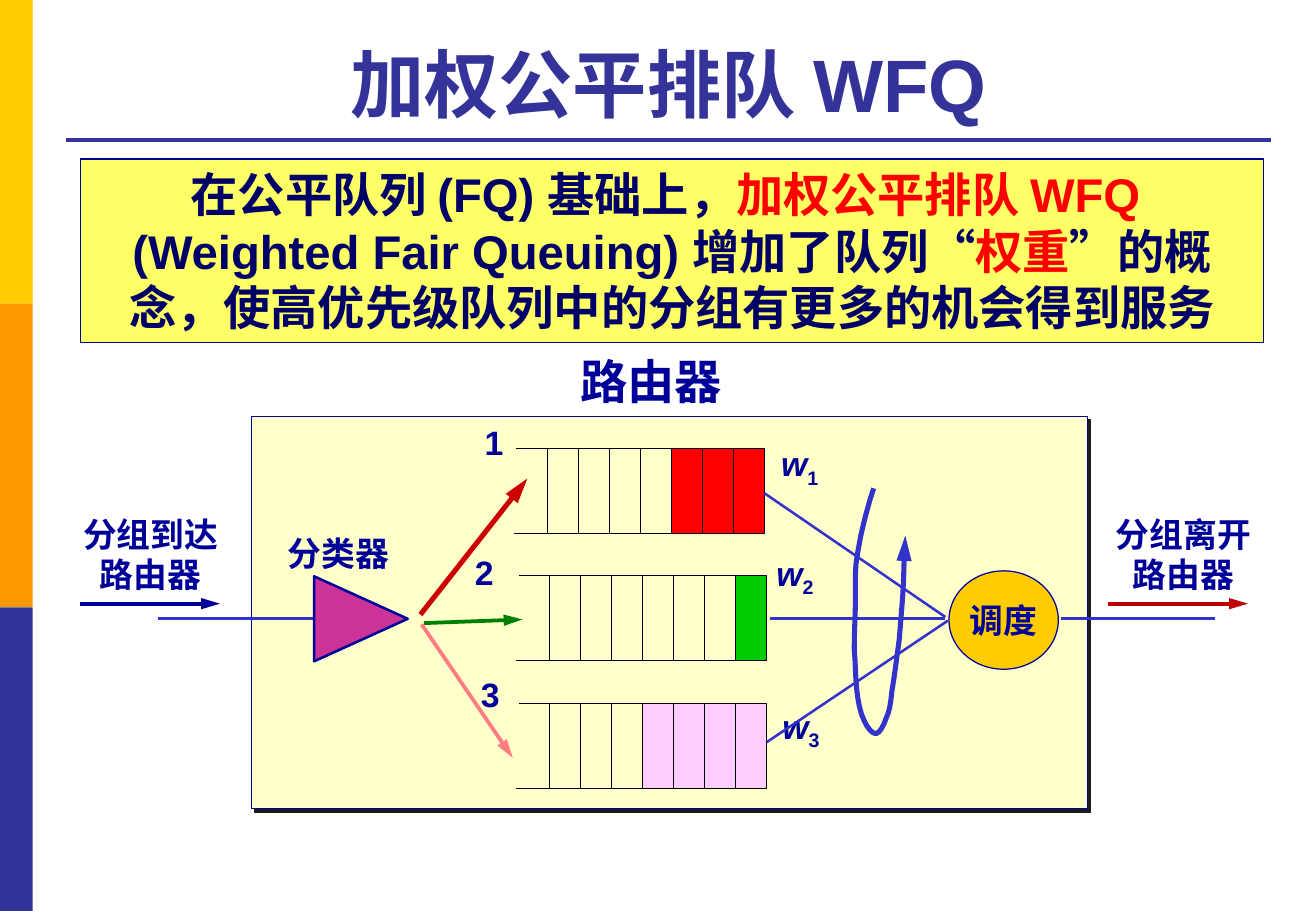
import lxml.etree
import pptx
import pptx.dml.color
import pptx.enum.shapes
import pptx.enum.text
import pptx.oxml.ns
import pptx.util

PX = 9144  # EMU per px, 100 px to the inch
COLORS = {
    "yellow": "FFCC00", "orange": "FF9900", "indigo": "333399", "navy": "000099",
    "ink": "000066", "red": "FF0000", "lemon": "FFFF66", "cream": "FFFFCC",
    "green": "00CC00", "pink": "FFCCFF", "black": "000000", "magenta": "CC3399",
    "blue": "3333CC", "crimson": "CC0000", "dark_green": "008000",
    "salmon": "FF7C80", "dark_red": "C00000", "shadow": "1C1C1C",
}
SHAPES = pptx.enum.shapes.MSO_SHAPE
ALIGN = pptx.enum.text.PP_ALIGN
ANCHOR = pptx.enum.text.MSO_ANCHOR


def rgb(name):
    return pptx.dml.color.RGBColor.from_string(COLORS[name])


def emu(*lengths):
    return [round(length * PX) for length in lengths]


def child(parent, tag, **attributes):
    return lxml.etree.SubElement(parent, pptx.oxml.ns.qn(tag), attributes)


def set_line(shape, color, width, arrow=False):
    shape.line.color.rgb = rgb(color)
    shape.line.width = pptx.util.Pt(width)
    if arrow:
        child(shape.line._get_or_add_ln(), "a:tailEnd", type="triangle", w="med", len="lg")


def add_line(page, start, end, color, width, arrow=False):
    line = page.shapes.add_connector(
        pptx.enum.shapes.MSO_CONNECTOR.STRAIGHT, *emu(*start, *end))
    set_line(line, color, width, arrow)
    child(line._element.spPr, "a:effectLst")


def add_box(page, kind, box, fill, line=None, width=0.75):
    shape = page.shapes.add_shape(kind, *emu(*box))
    shape.shadow.inherit = False
    shape.fill.solid()
    shape.fill.fore_color.rgb = rgb(fill)
    if line:
        set_line(shape, line, width)
    else:
        shape.line.fill.background()
    return shape


def add_outline(page, points, color, width, arrow=False):
    start, *rest = [emu(*point) for point in points]
    builder = page.shapes.build_freeform(*start, scale=1.0)
    builder.add_line_segments(rest, close=False)
    shape = builder.convert_to_shape()
    shape.shadow.inherit = False
    shape.fill.background()
    set_line(shape, color, width, arrow)


def set_font(para, size, color, align):
    para.alignment = align
    para.font.name = "Arial"
    para.font.size = pptx.util.Pt(size)
    para.font.bold = True
    para.font.color.rgb = rgb(color)


def add_label(page, box, lines, size=20, align=ALIGN.LEFT):
    frame = page.shapes.add_textbox(*emu(*box)).text_frame
    frame.word_wrap = False
    for index, text in enumerate(lines):
        para = frame.add_paragraph() if index else frame.paragraphs[0]
        para.text = text
        set_font(para, size, "navy", align)
    return frame


def draw_sidebar(page, left, top, width, height):
    band = height / 3
    for index, color in enumerate(("yellow", "orange", "indigo")):
        add_box(page, SHAPES.RECTANGLE, (left, top + index * band, width, band), color)


def draw_title(page, left, top, width, height):
    title = page.shapes.title
    title.left, title.top, title.width, title.height = emu(left, top, width, height)
    frame = title.text_frame
    frame.text = "加权公平排队 WFQ"
    frame.auto_size = pptx.enum.text.MSO_AUTO_SIZE.NONE
    frame.vertical_anchor = ANCHOR.BOTTOM
    set_font(frame.paragraphs[0], 44, "indigo", ALIGN.CENTER)
    add_line(page, (left - 1, top + 94), (left + width + 1, top + 94), "indigo", 2.25)


def draw_summary(page, *box):
    frame = add_box(page, SHAPES.RECTANGLE, box, "lemon", "navy").text_frame
    frame.word_wrap = True
    frame.vertical_anchor = ANCHOR.TOP
    para = frame.paragraphs[0]
    set_font(para, 28, "ink", ALIGN.CENTER)
    # Keep punctuation inside the margins
    para._p.get_or_add_pPr().set("hangingPunct", "0")
    for text, color in (
        ("在公平队列 (FQ) 基础上，", "ink"),
        ("加权公平排队 WFQ ", "red"),
        (None, None),
        ("(Weighted Fair Queuing) 增加了队列“", "ink"),
        ("权重", "red"),
        ("”的概念，使高优先级队列中的分组有更多的机会得到服务", "ink"),
    ):
        if text is None:
            para.add_line_break()
            continue
        span = para.add_run()
        span.text = text
        span.font.color.rgb = rgb(color)


def draw_queue(page, left, top, width, height, color, packets):
    cell = (width - 2) / 8
    right, bottom = left + width, top + height
    add_box(page, SHAPES.RECTANGLE,
            (right - packets * cell, top, packets * cell, height), color)
    add_outline(page, [(left + 2, top), (right, top), (right, bottom), (left, bottom)],
                "black", 0.75)
    for index in range(1, 8):
        x = right - index * cell
        add_line(page, (x, top), (x, bottom), "black", 0.75)


def draw_weight(page, left, top, number):
    para = add_label(page, (left, top, 52, 44), ["w"]).paragraphs[0]
    para.runs[0].font.italic = True
    subscript = para.add_run()
    subscript.text = str(number)
    subscript.font._element.set("baseline", "-25000")


def draw_service_loop(page, left, top):
    # Cubic curve: each group of three points continues from the last one
    curve = [(512, 59), (509, 67), (501, 96), (499, 111), (496, 126), (497, 136),
             (497, 149), (497, 162), (496, 178), (496, 191), (497, 203), (497, 214),
             (498, 224), (499, 234), (501, 244), (504, 250), (507, 257), (511, 261),
             (514, 261), (517, 260), (520, 255), (522, 249), (525, 243), (526, 236),
             (527, 226), (529, 215), (531, 198), (533, 184), (534, 171), (535, 160),
             (536, 146), (537, 132), (537, 108), (538, 98)]
    curve = [(left + x, top + y) for x, y in curve]
    points, steps = curve[:1], 4
    for first in range(0, len(curve) - 1, 3):
        for step in range(1, steps + 1):
            t = step / steps
            weights = ((1 - t) ** 3, 3 * t * (1 - t) ** 2, 3 * t * t * (1 - t), t ** 3)
            corners = curve[first:first + 4]
            points.append(tuple(sum(w * corner[axis] for w, corner in zip(weights, corners))
                                for axis in (0, 1)))
    add_outline(page, points, "blue", 3, arrow=True)


def draw_router(page, left, top, width, height):
    def at(x, y):
        return left + x, top + y

    add_label(page, (*at(261, -58), 138, 57), ["路由器"], 28)
    frame = add_box(page, SHAPES.RECTANGLE, (left, top, width, height), "cream", "navy")
    effects = frame._element.spPr.find(pptx.oxml.ns.qn("a:effectLst"))
    shadow = child(effects, "a:outerShdw", dist="35560", dir="2700000",
                   algn="ctr", rotWithShape="0")
    child(shadow, "a:srgbClr", val=COLORS["shadow"])

    # Classifier
    classifier = add_box(page, SHAPES.ISOSCELES_TRIANGLE, (*at(55, 128), 70, 77),
                         "magenta", "navy", 1.5)
    classifier.rotation = 90
    add_label(page, (*at(20, 91), 104, 44), ["分类器"])
    add_line(page, at(-77, 166), at(51, 166), "blue", 1.5)

    # Queues: corner, packet colour and count, number and weight places
    queues = [
        ((216, 26), "red", 3, (182, -1), (426, 17)),
        ((218, 131), "green", 1, (174, 106), (422, 107)),
        ((218, 236), "pink", 4, (179, 207), (427, 233)),
    ]
    for number, (corner, color, packets, number_at, weight_at) in enumerate(queues, 1):
        draw_queue(page, *at(*corner), 206, 70, color, packets)
        add_label(page, (*at(*number_at), 42, 43), [str(number)])
        draw_weight(page, *at(*weight_at), number)

    # Arrows into the queues
    for start, end, color, weight in (
        ((139, 163), (227, 51), "crimson", 3),
        ((142, 170), (223, 167), "dark_green", 2.25),
        ((140, 171), (215, 281), "salmon", 2.25),
    ):
        add_line(page, at(*start), at(*end), color, weight, arrow=True)

    # Scheduler and its links
    scheduler = add_box(page, SHAPES.OVAL, (*at(574, 127), 90, 81), "yellow", "navy")
    scheduler.text_frame.word_wrap = False
    scheduler.text_frame.vertical_anchor = ANCHOR.MIDDLE
    scheduler.text_frame.text = "调度"
    set_font(scheduler.text_frame.paragraphs[0], 20, "navy", ALIGN.CENTER)
    for start, end in (((422, 63), (571, 165)), ((427, 166), (571, 166)),
                       ((424, 268), (573, 168)), ((666, 166), (793, 166))):
        add_line(page, at(*start), at(*end), "blue", 1.5)
    draw_service_loop(page, left, top)


def draw_flow(page, left, top, action, color, indent):
    add_label(page, (left, top, 132, 77), [action, "路由器"], align=ALIGN.CENTER)
    add_line(page, (left + indent, top + 79), (left + indent + 115, top + 79),
             color, 2.25, arrow=True)


def main():
    deck = pptx.Presentation()
    deck.slide_width, deck.slide_height = emu(1083, 750)
    page = deck.slides.add_slide(deck.slide_layouts[5])
    draw_sidebar(page, 0, 0, 27, 750)
    draw_title(page, 55, 21, 990, 89)
    draw_summary(page, 66, 131, 974, 151)
    draw_router(page, 207, 343, 688, 323)
    draw_flow(page, 58, 418, "分组到达", "navy", 8)
    draw_flow(page, 908, 418, "分组离开", "dark_red", 4)
    deck.save("out.pptx")


if __name__ == "__main__":
    main()
